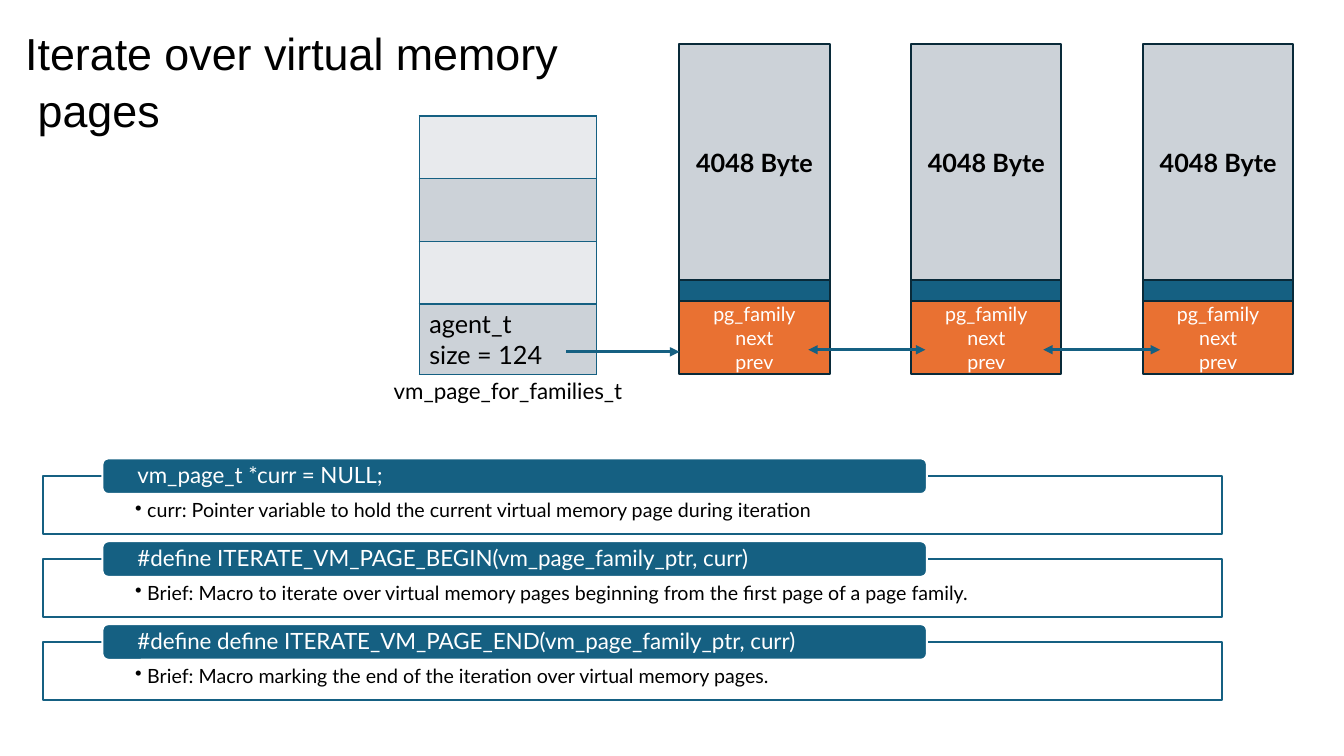
from dataclasses import dataclass

from lxml import etree
from pptx import Presentation
from pptx.dml.color import RGBColor
from pptx.enum import shapes, text
from pptx.oxml import ns
from pptx.util import Pt

BLUE, NAVY, ORANGE = "156082", "092A39", "E97132"
GRAY, LIGHT_GRAY, WHITE, BLACK = "CCD2D8", "E8EAED", "FFFFFF", "000000"
FONT = "Lato"


@dataclass
class Box:
    left: float
    top: float
    width: float
    height: float

    def lengths(self) -> tuple:
        return Pt(self.left), Pt(self.top), Pt(self.width), Pt(self.height)


@dataclass
class Style:
    size: float
    color: str = BLACK
    font: str = FONT
    bold: bool = False
    align: text.PP_ALIGN = text.PP_ALIGN.LEFT
    spacing: float = 1.0


@dataclass
class Arrow:
    start: float
    end: float
    y: float
    both_ends: bool = True


@dataclass
class Entry:
    code: str
    note: str


TITLE_STYLE = Style(32, font="Arial", spacing=1.06)
CENTER = text.PP_ALIGN.CENTER
PAGE_LEFTS = [485.3 + 165.6 * index for index in range(3)]
ARROWS = [
    Arrow(404.6, 485.3, 251.3, both_ends=False),
    Arrow(577.4, 661, 249.8),
    Arrow(745.2, 828.7, 249.8),
]
ENTRIES = [
    Entry("vm_page_t *curr = NULL;",
          "curr: Pointer variable to hold the current virtual memory page during iteration"),
    Entry("#define ITERATE_VM_PAGE_BEGIN(vm_page_family_ptr, curr)",
          "Brief: Macro to iterate over virtual memory pages beginning from the "
          "first page of a page family."),
    Entry("#define define ITERATE_VM_PAGE_END(vm_page_family_ptr, curr)",
          "Brief: Macro marking the end of the iteration over virtual memory pages."),
]
ENTRY_PITCH = 59.2


def color(value: str) -> RGBColor:
    return RGBColor.from_string(value)


def child(parent, tag: str, **attributes: str):
    return etree.SubElement(parent, ns.qn(tag), attributes)


def write(frame, lines: list[str], style: Style) -> None:
    frame.word_wrap = True
    for index, line in enumerate(lines):
        paragraph = frame.add_paragraph() if index else frame.paragraphs[0]
        paragraph.alignment = style.align
        paragraph.line_spacing = style.spacing
        paragraph.space_before = Pt(0)
        run = paragraph.add_run()
        run.text = line
        run.font.name = style.font
        run.font.size = Pt(style.size)
        run.font.bold = style.bold
        run.font.color.rgb = color(style.color)


def set_margins(frame, horizontal: float, top: float, bottom: float) -> None:
    frame.margin_left = frame.margin_right = Pt(horizontal)
    frame.margin_top, frame.margin_bottom = Pt(top), Pt(bottom)


def add_block(slide, box: Box, fill: str, line: str,
              kind=shapes.MSO_SHAPE.RECTANGLE):
    shape = slide.shapes.add_shape(kind, *box.lengths())
    shape.shadow.inherit = False
    shape.fill.solid()
    shape.fill.fore_color.rgb = color(fill)
    shape.line.color.rgb = color(line)
    shape.line.width = Pt(1.5)
    shape.text_frame.vertical_anchor = text.MSO_ANCHOR.MIDDLE
    return shape


def add_title(slide) -> None:
    title = slide.shapes.title
    title.left, title.top, title.width, title.height = Box(10.8, 12.2, 403.2, 85).lengths()
    title.text_frame.auto_size = text.MSO_AUTO_SIZE.NONE
    title.text_frame.vertical_anchor = text.MSO_ANCHOR.TOP
    write(title.text_frame, ["Iterate over virtual memory", " pages"], TITLE_STYLE)


def set_borders(cell) -> None:
    properties = cell._tc.get_or_add_tcPr()
    for index, side in enumerate(("L", "R", "T", "B")):
        border = child(properties, f"a:ln{side}", w=str(Pt(1)))
        child(child(border, "a:solidFill"), "a:srgbClr", val=BLUE)
        properties.insert(index, border)


def add_family_table(slide) -> None:
    heights = [44.8, 44.8, 44.8, 50.4]
    box = Box(299.5, 82.8, 126.7, sum(heights))
    table = slide.shapes.add_table(len(heights), 1, *box.lengths()).table
    table.first_row = table.horz_banding = False
    for index, height in enumerate(heights):
        table.rows[index].height = Pt(height)
        cell = table.cell(index, 0)
        cell.fill.solid()
        cell.fill.fore_color.rgb = color(GRAY if index % 2 else LIGHT_GRAY)
        set_borders(cell)
    write(table.cell(len(heights) - 1, 0).text_frame, ["agent_t", "size = 124"], Style(18))

    caption = slide.shapes.add_textbox(*Box(272.2, 265.7, 181.4, 26.6).lengths())
    write(caption.text_frame, ["vm_page_for_families_t"], Style(16, align=CENTER))


def add_page(slide, left: float) -> None:
    """Draw one memory page: data, block header and page header."""
    data = add_block(slide, Box(left, 31.7, 107.3, 168.5), GRAY, NAVY)
    write(data.text_frame, ["4048 Byte"], Style(18, bold=True, align=CENTER))
    add_block(slide, Box(left, 200.2, 107.3, 15.1), BLUE, NAVY)
    header = add_block(slide, Box(left, 215.3, 107.3, 51.8), ORANGE, NAVY)
    write(header.text_frame, ["pg_family", "next", "prev"], Style(14, WHITE, align=CENTER))


def add_arrow(slide, arrow: Arrow) -> None:
    connector = slide.shapes.add_connector(
        shapes.MSO_CONNECTOR.STRAIGHT,
        Pt(arrow.start), Pt(arrow.y), Pt(arrow.end), Pt(arrow.y))
    connector.line.color.rgb = color(BLUE)
    connector.line.width = Pt(2.25)
    line = connector.line._get_or_add_ln()
    if arrow.both_ends:
        child(line, "a:headEnd", type="triangle")
    child(line, "a:tailEnd", type="triangle")
    child(connector._element.spPr, "a:effectLst")


def add_bullet(paragraph) -> None:
    properties = paragraph._p.get_or_add_pPr()
    properties.set("marL", str(Pt(8.64)))
    properties.set("indent", str(-Pt(8.64)))
    child(properties, "a:buChar", char="•")


def add_entry(slide, entry: Entry, offset: float) -> None:
    """Draw a framed note with its code label over the top edge."""
    panel = add_block(slide, Box(31, 339.9 + offset, 841.7, 41.5), WHITE, BLUE)
    child(panel._element.spPr.find(".//" + ns.qn("a:srgbClr")), "a:alpha", val="90000")
    frame = panel.text_frame
    frame.vertical_anchor = text.MSO_ANCHOR.TOP
    set_margins(frame, 65.5, 18, 7.9)
    write(frame, [entry.note], Style(14, spacing=0.9))
    frame.paragraphs[0].level = 1
    add_bullet(frame.paragraphs[0])

    label = add_block(slide, Box(73.1, 327.4 + offset, 589, 25.5), BLUE, WHITE,
                      shapes.MSO_SHAPE.ROUNDED_RECTANGLE)
    set_margins(label.text_frame, 23.8, 1.4, 1.4)
    write(label.text_frame, [entry.code], Style(16, WHITE, spacing=0.9))


def main() -> None:
    presentation = Presentation()
    presentation.slide_width, presentation.slide_height = Pt(960), Pt(540)
    slide = presentation.slides.add_slide(presentation.slide_layouts.get_by_name("Title Only"))
    add_title(slide)
    add_family_table(slide)
    for left in PAGE_LEFTS:
        add_page(slide, left)
    for arrow in ARROWS:
        add_arrow(slide, arrow)
    for index, entry in enumerate(ENTRIES):
        add_entry(slide, entry, index * ENTRY_PITCH)
    presentation.save("out.pptx")


if __name__ == "__main__":
    main()
